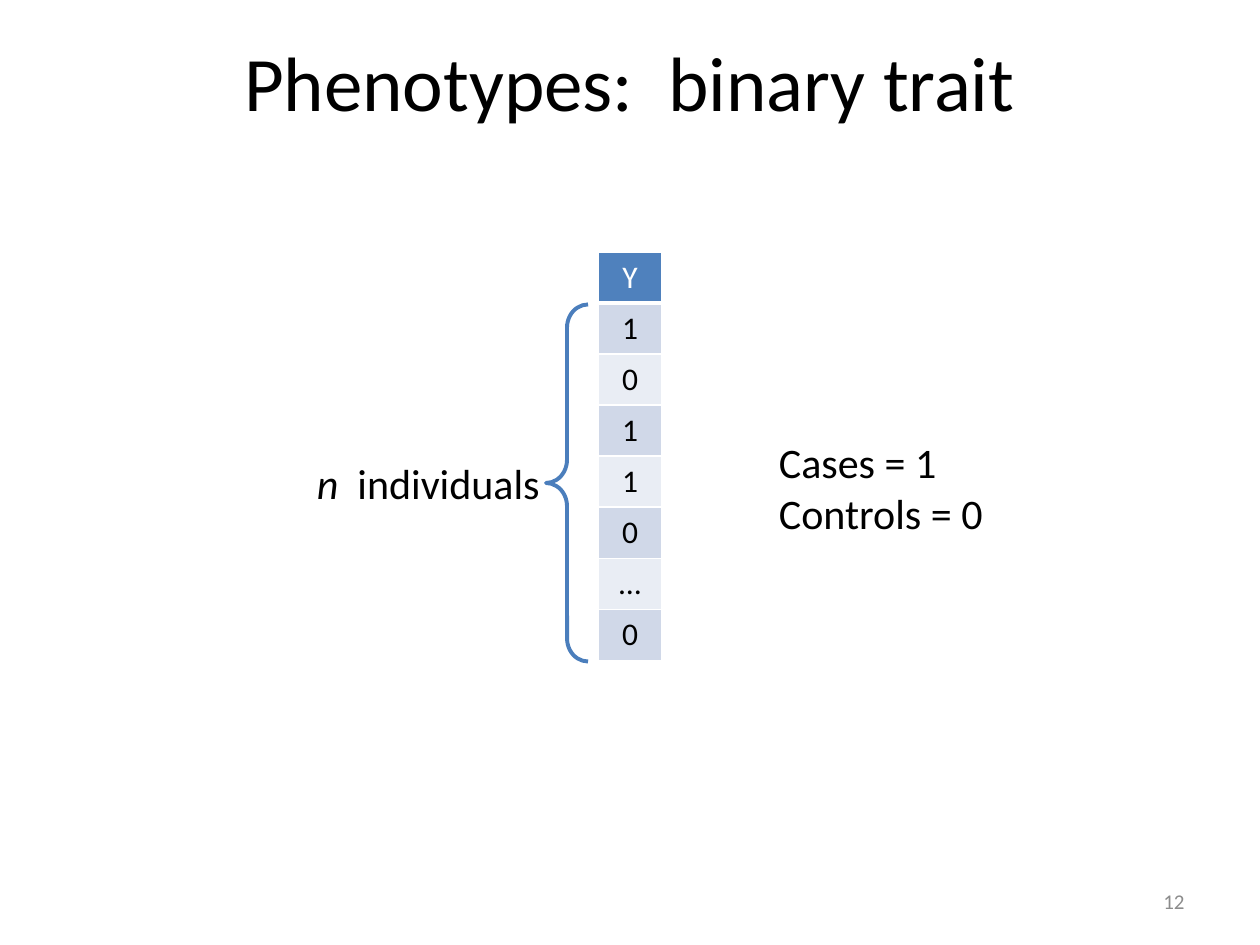
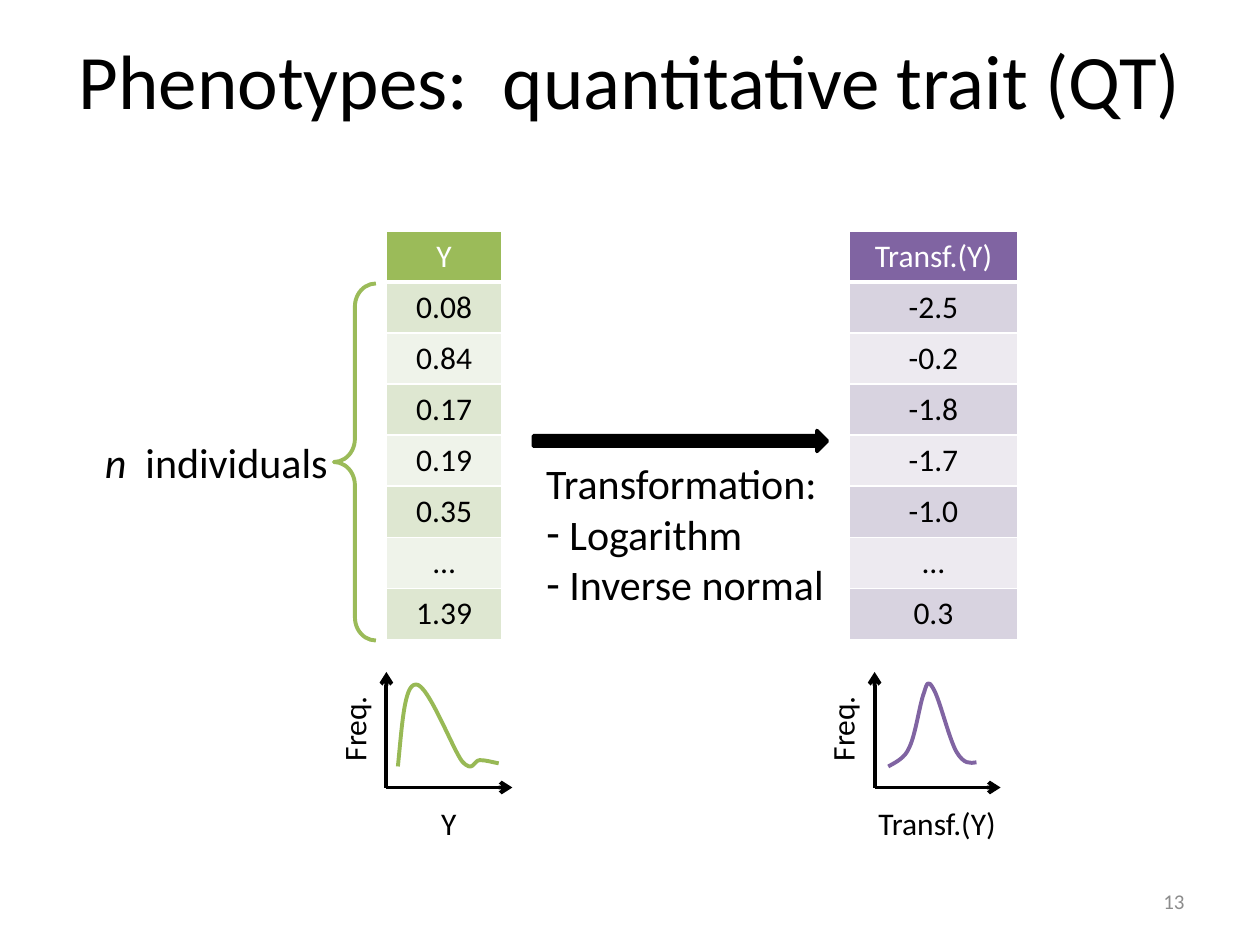
from lxml.etree import SubElement
from pptx import Presentation
from pptx.dml.color import RGBColor
from pptx.enum.shapes import MSO_CONNECTOR, MSO_SHAPE
from pptx.enum.text import MSO_ANCHOR, MSO_AUTO_SIZE, PP_ALIGN
from pptx.oxml.ns import qn
from pptx.util import Pt

PX = 7620
FONT = "Calibri"
COLORS = {
    "ink": "000000",
    "paper": "FFFFFF",
    "number": "8C8C8C",
    "blue": "4F81BD", "blue odd": "D0D8E8", "blue even": "E9EDF4", "blue line": "4B7EBC",
    "green": "9BBB59", "green odd": "DEE7D1", "green even": "EFF3EA", "green line": "98B955",
    "purple": "8064A2", "purple odd": "D8D3E0", "purple even": "EDEAF0",
}
TITLE_ONLY, TITLE_AND_BODY = 5, 1


def px(*lengths):
    return [length * PX for length in lengths]


def rgb(name):
    return RGBColor.from_string(COLORS[name])


class Deck:
    def __init__(self):
        self.presentation = Presentation()
        self.presentation.slide_width, self.presentation.slide_height = px(1200, 900)
        self.slide = None

    def start(self, title, top, number, layout=TITLE_ONLY):
        self.slide = self.presentation.slides.add_slide(
            self.presentation.slide_layouts[layout])
        heading = self.slide.shapes.title
        self.place(heading, 60, top, 1080, 150)
        heading.text_frame.text = title
        heading.text_frame.vertical_anchor = MSO_ANCHOR.MIDDLE
        self.style(heading.text_frame.paragraphs[0], 44, align=PP_ALIGN.CENTER)
        self.text(860, 834, 280, 48, [number], 12, "number", PP_ALIGN.RIGHT,
                  MSO_ANCHOR.MIDDLE)

    def place(self, shape, *box):
        shape.left, shape.top, shape.width, shape.height = px(*box)

    def style(self, paragraph, size, color="ink", align=PP_ALIGN.LEFT):
        paragraph.alignment = align
        paragraph.font.name = FONT
        paragraph.font.size = Pt(size)
        paragraph.font.bold = False
        paragraph.font.color.rgb = rgb(color)

    def outline(self, shape, color, width=2.25):
        shape.line.color.rgb = rgb(color)
        shape.line.width = Pt(width)

    def text(self, x, y, w, h, lines, size=24, color="ink", align=PP_ALIGN.LEFT,
             anchor=MSO_ANCHOR.TOP):
        box = self.slide.shapes.add_textbox(*px(x, y, w, h))
        frame = box.text_frame
        frame.word_wrap = False
        frame.vertical_anchor = anchor
        frame.text = "\n".join(lines)
        for paragraph in frame.paragraphs:
            self.style(paragraph, size, color, align)
        return box

    def dash_list(self, x, y, w, h, heading, items):
        body = self.slide.placeholders[1]
        self.place(body, x, y, w, h)
        frame = body.text_frame
        frame.auto_size = MSO_AUTO_SIZE.NONE
        frame.text = "\n".join([heading, *items])
        for i, paragraph in enumerate(frame.paragraphs):
            self.style(paragraph, 24)
            paragraph.space_before = Pt(0)
            props = paragraph._p.get_or_add_pPr()
            props.set("marL", "0")
            props.set("indent", "0")
            bullet = "a:buChar" if i else "a:buNone"
            mark = props.makeelement(qn(bullet), {"char": "-"} if i else {})
            props.insert_element_before(mark, "a:tabLst", "a:defRPr", "a:extLst")

    def border(self, cell, row):
        props = cell._tc.get_or_add_tcPr()
        for side in "LRTB":
            width = 3 if row == 0 and side == "B" else 1
            line = SubElement(props, qn(f"a:ln{side}"), w=str(Pt(width)))
            fill = SubElement(line, qn("a:solidFill"))
            SubElement(fill, qn("a:srgbClr"), val=COLORS["paper"])

    def column(self, x, y, w, values, hue):
        table = self.slide.shapes.add_table(len(values), 1, *px(x, y, w, 389)).table
        for row, value in enumerate(values):
            cell = table.cell(row, 0)
            self.border(cell, row)
            shade = (f"{hue} odd" if row % 2 else f"{hue} even") if row else hue
            cell.fill.solid()
            cell.fill.fore_color.rgb = rgb(shade)
            cell.text = value
            self.style(cell.text_frame.paragraphs[0], 18, "ink" if row else "paper",
                       PP_ALIGN.CENTER)

    def shape(self, kind, x, y, w, h):
        shape = self.slide.shapes.add_shape(kind, *px(x, y, w, h))
        shape.shadow.inherit = False
        return shape

    def individuals(self, column_x, column_y, color):
        brace = self.shape(MSO_SHAPE.LEFT_BRACE, column_x - 50, column_y + 50, 40, 340)
        brace.adjustments[0] = 0.55
        brace.fill.background()
        self.outline(brace, color)
        label = self.text(column_x - 280, column_y + 190, 239, 60, ["n"])
        paragraph = label.text_frame.paragraphs[0]
        paragraph.runs[0].font.italic = True
        paragraph.add_run().text = "  individuals"

    def block_arrow(self, x, y, w, h):
        arrow = self.shape(MSO_SHAPE.RIGHT_ARROW, x, y, w, h)
        arrow.fill.solid()
        arrow.fill.fore_color.rgb = rgb("ink")
        self.outline(arrow, "ink", 2)

    def axis(self, *ends):
        line = self.slide.shapes.add_connector(MSO_CONNECTOR.STRAIGHT, *px(*ends))
        self.outline(line, "ink")
        SubElement(line.line._get_or_add_ln(), qn("a:tailEnd"), type="arrow")
        SubElement(line._element.spPr, qn("a:effectLst"))

    def curve(self, points, color):
        builder = self.slide.shapes.build_freeform(*points[0], scale=PX)
        builder.add_line_segments(points[1:], close=False)
        curve = builder.convert_to_shape()
        segments = list(curve._element.iter(qn("a:lnTo")))
        outline = segments[0].getparent()
        for i in range(0, len(segments), 3):
            bend = SubElement(outline, qn("a:cubicBezTo"))
            for segment in segments[i:i + 3]:
                bend.append(segment[0])
                outline.remove(segment)
        curve.shadow.inherit = False
        curve.fill.background()
        self.outline(curve, color)

    def density(self, x, label, points, color):
        self.axis(x, 750, x, 640)
        self.axis(x, 750, x + 120, 750)
        self.curve(points, color)
        self.text(x - 9, 760, 137, 48, [label], 18, align=PP_ALIGN.CENTER)
        frequency = self.text(x - 74, 670, 86, 48, ["Freq."], 18, align=PP_ALIGN.CENTER)
        frequency.rotation = 270


def binary_trait(deck):
    deck.start("Phenotypes:  binary trait", 2, "12")
    deck.column(570, 240, 60, ["Y", "1", "0", "1", "1", "0", "…", "0"], "blue")
    deck.individuals(570, 240, "blue line")
    deck.text(730, 410, 220, 109, ["Cases = 1", "Controls = 0"])


def quantitative_trait(deck):
    deck.start("Phenotypes:  quantitative trait (QT)", 0, "13", TITLE_AND_BODY)
    deck.column(368, 220, 110,
                ["Y", "0.08", "0.84", "0.17", "0.19", "0.35", "…", "1.39"], "green")
    deck.column(809, 220, 160,
                ["Transf.(Y)", "-2.5", "-0.2", "-1.8", "-1.7", "-1.0", "…", "0.3"],
                "purple")
    deck.individuals(368, 220, "green")
    deck.block_arrow(508, 410, 280, 20)
    deck.dash_list(508, 430, 310, 206, "Transformation:",
                   [" Logarithm", " Inverse normal"])
    skewed = [(379, 730), (383, 691), (385, 652), (396, 652), (407, 650), (431, 713),
              (440, 725), (451, 737), (451, 724), (457, 724), (463, 724), (469, 726),
              (475, 727)]
    bell = [(846, 730), (853, 726), (862, 722), (866, 712), (872, 700), (876, 670),
            (880, 660), (883, 650), (884, 647), (889, 656), (895, 666), (904, 704),
            (911, 716), (918, 728), (924, 727), (930, 726)]
    deck.density(368, "Y", skewed, "green line")
    deck.density(833, "Transf.(Y)", bell, "purple")


def main():
    deck = Deck()
    binary_trait(deck)
    quantitative_trait(deck)
    deck.presentation.save("out.pptx")


if __name__ == "__main__":
    main()
